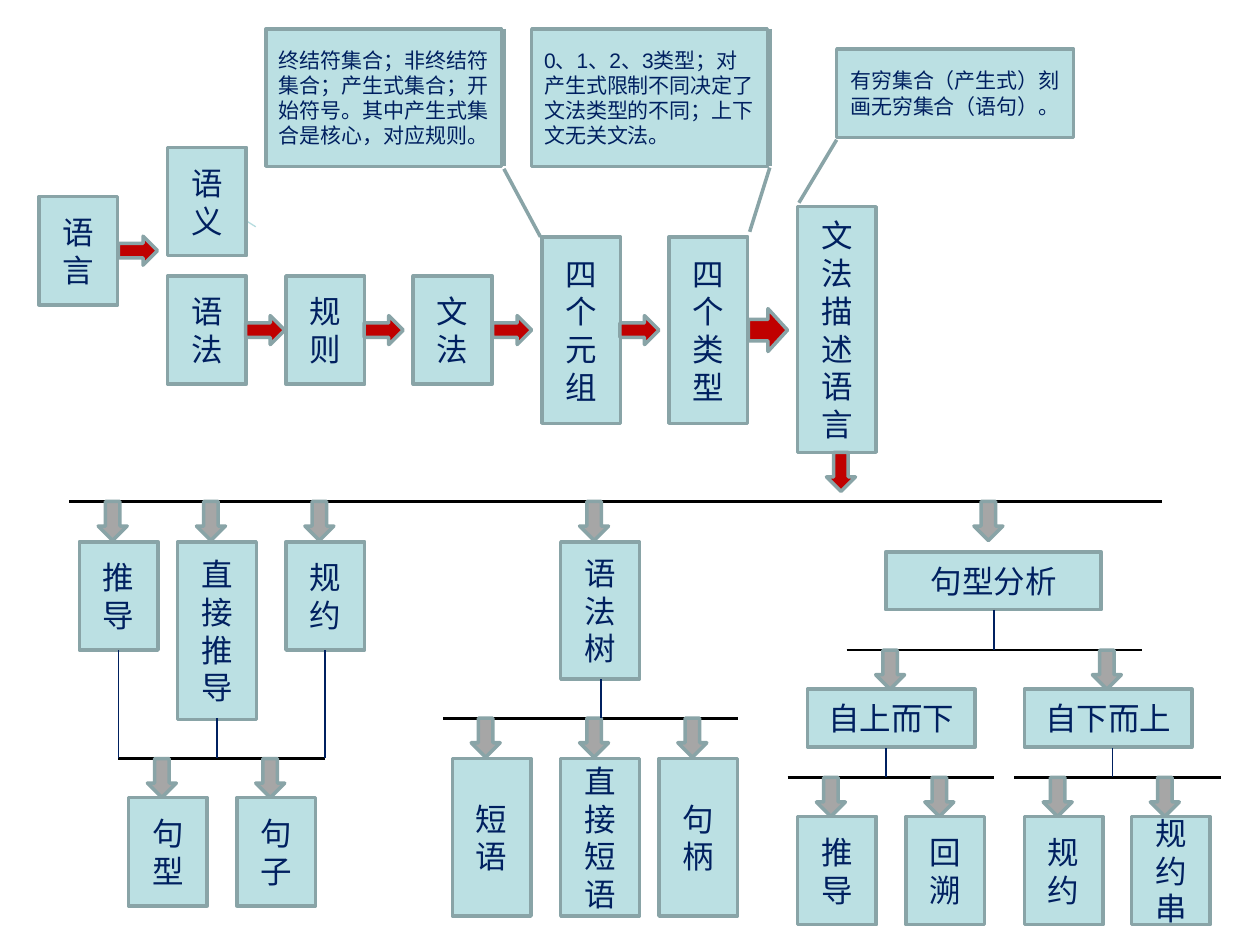
from lxml.etree import SubElement
from pptx import Presentation
from pptx.dml.color import RGBColor
from pptx.enum.shapes import MSO_CONNECTOR, MSO_SHAPE
from pptx.enum.text import MSO_ANCHOR, PP_ALIGN
from pptx.oxml.ns import qn
from pptx.util import Inches, Pt

PALE = RGBColor(0xBB, 0xE0, 0xE3)
BORDER = RGBColor(0x89, 0xA4, 0xA7)
LINK = RGBColor(0xB6, 0xDC, 0xDF)
NAVY = RGBColor(0x00, 0x20, 0x60)
RED = RGBColor(0xC0, 0x00, 0x00)
GRAY = RGBColor(0xA6, 0xA6, 0xA6)
BLACK = RGBColor(0, 0, 0)

BOX_WIDTH = 0.625
ARROW_LENGTH, ARROW_THICKNESS = 0.31, 0.23

CHAIN = [
    ("语言", 0.31, 1.56, 0.86),
    ("语义", 1.33, 1.17, 0.86),
    ("语法", 1.33, 2.19, 0.86),
    ("规则", 2.27, 2.19, 0.86),
    ("文法", 3.28, 2.19, 0.86),
    ("四个\n元组", 4.3, 1.88, 1.48),
    ("四个类型", 5.31, 1.88, 1.48),
    ("文法描述语言", 6.33, 1.64, 1.95),
]
CHAIN_ARROWS = [
    (0.94, 1.99, ARROW_THICKNESS),
    (1.95, 2.62, ARROW_THICKNESS),
    (2.89, 2.62, ARROW_THICKNESS),
    (3.91, 2.62, ARROW_THICKNESS),
    (4.92, 2.62, ARROW_THICKNESS),
    (5.94, 2.62, 0.34),
]
CALLOUTS = [
    ("终结符集合；非终结符集合；产生式集合；开始符号。其中产生式集合是核心，对应规则。",
     (2.11, 0.23, 1.87, 1.09), (4, 1.34), (4.29, 1.88), PP_ALIGN.CENTER),
    ("0、1、2、3类型；对产生式限制不同决定了文法类型的不同；上下文无关文法。",
     (4.22, 0.23, 1.87, 1.09), (6.11, 1.33), (5.95, 1.84), PP_ALIGN.LEFT),
    ("有穷集合（产生式）刻画无穷集合（语句）。",
     (6.64, 0.39, 1.88, 0.7), (6.64, 1.11), (6.34, 1.61), PP_ALIGN.CENTER),
]
RAILS = [
    (0.55, 9.22, 3.98),
    (0.94, 2.58, 6.02),
    (3.52, 5.86, 5.7),
    (6.72, 9.06, 5.16),
    (6.25, 7.89, 6.17),
    (8.05, 9.69, 6.17),
]
BRANCHES = [
    (3.98, 4.3, BOX_WIDTH, 0.15,
     [("推导", 0.63, 0.86), ("直接推导", 1.41, 1.41), ("规约", 2.27, 0.86), ("语法树", 4.45, 1.09)]),
    (3.98, 4.38, 1.71, 0.7, [("句型分析", 7.03, 0.46)]),
    (6.02, 6.33, BOX_WIDTH, 0.15, [("句型", 1.02, 0.86), ("句子", 1.88, 0.86)]),
    (5.7, 6.02, BOX_WIDTH, 0.15,
     [("短语", 3.59, 1.25), ("直接短语", 4.45, 1.25), ("句柄", 5.23, 1.25)]),
    (5.16, 5.47, 1.33, 0.54, [("自上而下", 6.41, 0.46), ("自下而上", 8.13, 0.46)]),
    (6.17, 6.48, BOX_WIDTH, 0.15,
     [("推导", 6.33, 0.86), ("回溯", 7.19, 0.86), ("规约", 8.13, 0.86), ("规约串", 8.98, 0.86)]),
]
STEMS = [
    (0.94, 5.16, 6.02), (1.72, 5.7, 6.02), (2.58, 5.16, 6.02), (4.77, 5.39, 5.7),
    (7.89, 4.84, 5.16), (7.03, 5.94, 6.17), (8.83, 5.94, 6.17),
]

presentation = Presentation()
presentation.slide_width, presentation.slide_height = Inches(10), Inches(7.5)
slide = presentation.slides.add_slide(presentation.slide_layouts[6])


def add_line(start, end, color, width):
    line = slide.shapes.add_connector(
        MSO_CONNECTOR.STRAIGHT, *(Inches(value) for value in (*start, *end)))
    line.line.color.rgb = color
    line.line.width = Pt(width)
    SubElement(line._element.spPr, qn("a:effectLst"))


def add_outlined(kind, place, fill):
    shape = slide.shapes.add_shape(kind, *(Inches(value) for value in place))
    shape.shadow.inherit = False
    shape.fill.solid()
    shape.fill.fore_color.rgb = fill
    shape.line.color.rgb = BORDER
    shape.line.width = Pt(2)
    return shape


def add_labelled(kind, place, text, size=18, alignment=PP_ALIGN.CENTER):
    shape = add_outlined(kind, place, PALE)
    frame = shape.text_frame
    frame.text = text
    frame.word_wrap = True
    frame.vertical_anchor = MSO_ANCHOR.MIDDLE
    for paragraph in frame.paragraphs:
        paragraph.alignment = alignment
        for run in paragraph.runs:
            run.font.name = "Arial"
            run.font.size = Pt(size)
            run.font.color.rgb = NAVY
    return shape


def add_down_arrow(left, top, fill):
    add_outlined(MSO_SHAPE.DOWN_ARROW, (left, top, ARROW_THICKNESS, ARROW_LENGTH), fill)


add_line((1.52, 1.48), (2.03, 1.8), LINK, 0.75)
for text, left, top, height in CHAIN:
    add_labelled(MSO_SHAPE.RECTANGLE, (left, top, BOX_WIDTH, height), text)
for left, middle, thickness in CHAIN_ARROWS:
    add_outlined(MSO_SHAPE.RIGHT_ARROW,
                 (left, middle - thickness / 2, ARROW_LENGTH, thickness), RED)

for text, place, anchor, tip, alignment in CALLOUTS:
    callout = add_labelled(
        MSO_SHAPE.LINE_CALLOUT_1_BORDER_AND_ACCENT_BAR, place, text, 12, alignment)
    left, top, width, height = place
    for index, (x, y) in enumerate((anchor, tip)):
        callout.adjustments[2 * index] = (y - top) / height
        callout.adjustments[2 * index + 1] = (x - left) / width

add_down_arrow(6.56, 3.59, RED)
for left, right, y in RAILS:
    add_line((left, y), (right, y), BLACK, 1.5)
for rail, top, width, arrow_offset, boxes in BRANCHES:
    for text, left, height in boxes:
        add_down_arrow(left + arrow_offset, rail, GRAY)
        add_labelled(MSO_SHAPE.RECTANGLE, (left, top, width, height), text)
for x, top, bottom in STEMS:
    add_line((x, top), (x, bottom), NAVY, 1)

presentation.save("out.pptx")
